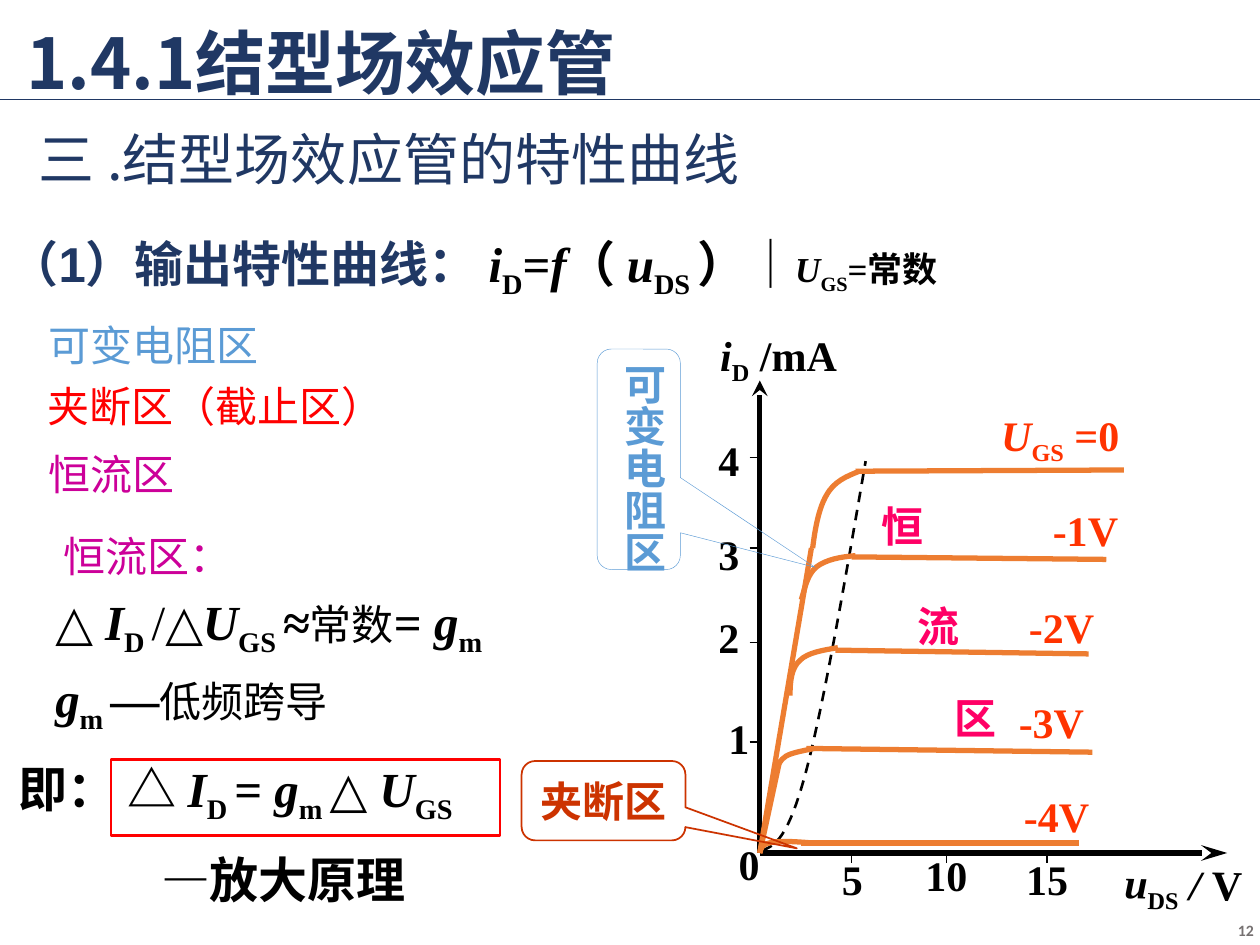
from lxml.etree import SubElement
from pptx import Presentation
from pptx.dml.color import RGBColor
from pptx.enum.dml import MSO_LINE
from pptx.enum.shapes import MSO_CONNECTOR, MSO_SHAPE
from pptx.enum.text import MSO_ANCHOR, PP_ALIGN
from pptx.oxml.ns import qn
from pptx.util import Inches, Pt

NAVY = RGBColor(0x20, 0x38, 0x64)
BLACK = RGBColor(0, 0, 0)
BLUE = RGBColor(0x5B, 0x9B, 0xD5)
ORANGE = RGBColor(0xED, 0x7D, 0x31)
RED = RGBColor(0xFF, 0, 0)
RUST = RGBColor(0xCC, 0x33, 0)
FLAME = RGBColor(0xFF, 0x33, 0)
PINK = RGBColor(0xFF, 0, 0x66)
PURPLE = RGBColor(0xCC, 0, 0x99)
GREY = RGBColor(0x76, 0x71, 0x71)
TIMES = "Times New Roman"
NOTO = "Noto Sans CJK SC"
ZERO = (6.03, 6.77)


def add_run(para, text, flags, size, face, color):
    run = para.add_run()
    run.text = text
    font = run.font
    font.size = Pt(size)
    font.name = face
    font.color.rgb = color
    font.bold = "b" in flags
    font.italic = "i" in flags
    props = run._r.get_or_add_rPr()
    if "s" in flags:
        props.set("baseline", "-25000")
    SubElement(props, qn("a:ea")).set("typeface", NOTO)


def fill_para(para, runs, size, face, color, align):
    para.alignment = align
    for text, flags, *over in runs:
        look = over + [size, face, color][len(over):]
        add_run(para, text, flags, *look)


def add_text(slide, box, lines, size=24, face=TIMES, color=BLACK,
             align=PP_ALIGN.LEFT, anchor=MSO_ANCHOR.TOP, wrap=True, gap=0):
    shape = slide.shapes.add_textbox(*map(Inches, box))
    frame = shape.text_frame
    frame.word_wrap = wrap
    frame.vertical_anchor = anchor
    for num, runs in enumerate(lines):
        para = frame.add_paragraph() if num else frame.paragraphs[0]
        if num:
            para.space_before = Pt(gap)
        fill_para(para, runs, size, face, color, align)
    return shape


def add_label(slide, box, runs, color=BLACK, wrap=False):
    return add_text(slide, box, [runs], color=color, align=PP_ALIGN.CENTER,
                    anchor=MSO_ANCHOR.MIDDLE, wrap=wrap)


def set_indent(para, left, first=0):
    props = para._p.get_or_add_pPr()
    props.set("marL", str(Inches(left)))
    props.set("indent", str(Inches(first)))


def add_line(slide, start, end, color, width, head=None):
    line = slide.shapes.add_connector(
        MSO_CONNECTOR.STRAIGHT, *map(Inches, start + end))
    line.line.color.rgb = color
    line.line.width = Pt(width)
    if head:
        tail = SubElement(line.line._get_or_add_ln(), qn("a:tailEnd"))
        tail.set("type", "stealth")
        tail.set("len", head)
    SubElement(line._element.spPr, qn("a:effectLst"))


def add_curve(slide, pts, color, width, dash=False):
    path = slide.shapes.build_freeform(*map(Inches, pts[0]))
    path.add_line_segments([tuple(map(Inches, pt)) for pt in pts[1:]], close=False)
    curve = path.convert_to_shape()
    steps = list(curve._element.iter(qn("a:lnTo")))
    for num in range(0, len(steps), 3):
        bend = SubElement(steps[num].getparent(), qn("a:cubicBezTo"))
        for step in steps[num:num + 3]:
            bend.append(step[0])
            step.getparent().remove(step)
    style_shape(curve, color, width)
    if dash:
        curve.line.dash_style = MSO_LINE.DASH


def style_shape(shape, color, width):
    shape.shadow.inherit = False
    shape.fill.background()
    shape.line.color.rgb = color
    shape.line.width = Pt(width)


def add_frame(slide, kind, box, color, width, adjust=()):
    shape = slide.shapes.add_shape(kind, *map(Inches, box))
    style_shape(shape, color, width)
    for num, value in enumerate(adjust):
        shape.adjustments[num] = value
    return shape


def add_heads(slide):
    add_line(slide, (0, 0.79), (10, 0.79), NAVY, 1)
    title = add_text(slide, (0.11, -0.02, 8.5, 1.1), [[("1.4.1结型场效应管", "b")]],
                     40, NOTO, NAVY, anchor=MSO_ANCHOR.MIDDLE)
    part = add_text(slide, (0, 0.8, 7.08, 0.83),
                    [[(" ", "", 48, TIMES), ("三 .结型场效应管的特性曲线", "")]],
                    32, NOTO, NAVY, anchor=MSO_ANCHOR.MIDDLE)
    topic = add_text(slide, (-0.02, 1.81, 8.93, 0.78), [[
        ("（1）输出特性曲线： ", "b", 28, "Arial", NAVY), ("i", "bi"), ("D", "bs"),
        ("=", "b"), ("f", "bi"), ("（ ", "b"), ("u", "bi"), ("DS ", "bs"),
        ("）│", "b"), ("U", "bi", 20), ("GS", "bs", 20), ("=常数", "b", 20)]], 28)
    for shape in (title, part, topic):
        shape.text_frame.paragraphs[0].line_spacing = 0.9
    set_indent(part.text_frame.paragraphs[0], 0.37, -0.31)
    set_indent(topic.text_frame.paragraphs[0], 0.38, -0.38)


def add_notes(slide):
    for box, text, color in (
            ((0.29, 2.49, 1.88, 0.5), "可变电阻区", BLUE),
            ((0.28, 2.97, 4.37, 0.5), "夹断区（截止区）", RED),
            ((0.29, 3.51, 6.3, 0.5), "恒流区", PURPLE)):
        add_text(slide, box, [[(text, "")]], face=NOTO, color=color)
    gain = add_text(slide, (0.34, 4.16, 4.89, 1.97), [
        [(" ", "b", 20), ("恒流区：", "", 24, NOTO, PURPLE)],
        [("△ ", "b"), ("I", "bi"), ("D ", "bs"), ("/", ""), ("△", "b"), ("U", "bi"),
         ("GS ", "bs"), ("≈", "b"), ("常数", "", 24, NOTO), ("= ", "b"),
         ("g", "bi"), ("m", "bs")],
        [("g", "bi"), ("m ", "bs"), ("—", "b"), ("低频跨导", "", 24, NOTO)]],
        28, gap=6)
    for para in gain.text_frame.paragraphs:
        set_indent(para, 0.38, -0.38)
    rule = add_text(slide, (0.05, 5.97, 4.65, 1.27), [
        [("即： △ ", "b"), ("I", "bi"), ("D ", "bs"), ("= ", "b"), ("g", "bi"),
         ("m ", "bs"), ("△ ", "b"), ("U", "bi"), ("GS", "bs")],
        [("—放大原理", "b")]], 28, gap=14)
    set_indent(rule.text_frame.paragraphs[1], 1.13)
    add_frame(slide, MSO_SHAPE.RECTANGLE, (0.88, 6.03, 3.09, 0.6), RED, 1.5)


def add_axes(slide):
    add_line(slide, ZERO, (9.74, 6.77), BLACK, 3, "lg")
    add_line(slide, ZERO, (6.03, 3.02), BLACK, 3, "med")
    for y in (3.63, 4.35, 5.1, 5.89):
        add_line(slide, (5.95, y), (6.03, y), BLACK, 1)
    for x in (6.76, 7.51, 8.31):
        add_line(slide, (x, 6.77), (x, 6.85), BLACK, 0.75)
    for text, x, y, wide in (
            ("4", 5.6, 3.39, 0.37), ("3", 5.6, 4.14, 0.37), ("2", 5.6, 4.8, 0.37),
            ("1", 5.68, 5.6, 0.37), ("0", 5.76, 6.6, 0.37), ("5", 6.58, 6.72, 0.37),
            ("10", 7.24, 6.69, 0.54), ("15", 8.04, 6.72, 0.54)):
        add_label(slide, (x, y, wide, 0.51), [(text, "b")])
    volt = add_label(slide, (8.72, 6.78, 1.26, 0.51),
                     [(" u", "bi"), ("DS", "bs"), (" / ", "bi"), ("V", "b")])
    volt.rotation = 1.4
    add_label(slide, (5.53, 2.59, 1.3, 0.5),
              [("i", "bi"), ("D", "bs"), (" /mA", "b")], wrap=True)


def add_plots(slide):
    add_curve(slide, [(6.05, 6.75), (6.15, 6.71), (6.25, 6.66), (6.39, 6.15),
                      (6.53, 5.63), (6.7, 4.65), (6.87, 3.66)], BLACK, 1.5, True)
    for end in ((6.44, 4.35), (6.19, 6.03)):
        add_line(slide, ZERO, end, ORANGE, 3)
    bends = (
        [(6.45, 4.35), (6.47, 4.19), (6.5, 4.03), (6.56, 3.93),
         (6.62, 3.82), (6.72, 3.78), (6.82, 3.74)],
        [(6.36, 4.76), (6.39, 4.66), (6.41, 4.56), (6.48, 4.5),
         (6.56, 4.44), (6.67, 4.42), (6.79, 4.41)],
        [(6.27, 5.52), (6.27, 5.41), (6.28, 5.3), (6.35, 5.24),
         (6.41, 5.18), (6.53, 5.16), (6.65, 5.14)],
        [(6.16, 6.12), (6.17, 6.08), (6.19, 6.03), (6.24, 6),
         (6.29, 5.97), (6.42, 5.95), (6.46, 5.94)],
        [ZERO, (6.04, 6.73), (6.05, 6.7), (6.11, 6.69),
         (6.18, 6.67), (6.31, 6.68), (6.44, 6.69)])
    flats = (((6.79, 3.74), (8.92, 3.73)), ((6.76, 4.42), (8.78, 4.44)),
             ((6.63, 5.16), (8.64, 5.19)), ((6.4, 5.94), (8.67, 5.97)),
             ((6.36, 6.69), (8.56, 6.69)))
    for bend, (start, end) in zip(bends, flats):
        add_curve(slide, bend, ORANGE, 3)
        add_line(slide, start, end, ORANGE, 3)
    add_label(slide, (7.82, 3.22, 1.19, 0.51),
              [("U", "bi"), ("GS", "bs"), (" =0", "b")], FLAME)
    for text, x, y in (("-1V", 8.25, 3.95), ("-2V", 8.06, 4.72),
                       ("-3V", 7.98, 5.47), ("-4V", 8.02, 6.22)):
        add_label(slide, (x, y, 0.73, 0.51), [(text, "b")], FLAME)


def add_zones(slide):
    add_frame(slide, MSO_SHAPE.ROUNDED_RECTANGULAR_CALLOUT, (4.74, 2.77, 0.66, 1.75),
              BLUE, 0.25, (2.12, 0.49, 0.17))
    tall = add_label(slide, (4.81, 2.79, 0.61, 1.76), [("可变电阻区", "b")], BLUE)
    tall.text_frame._txBody.bodyPr.set("vert", "eaVert")
    cut = add_frame(slide, MSO_SHAPE.ROUNDED_RECTANGULAR_CALLOUT,
                    (4.14, 6.04, 1.3, 0.63), RUST, 1, (1.18, 0.6, 0.17))
    cut.text_frame.vertical_anchor = MSO_ANCHOR.MIDDLE
    fill_para(cut.text_frame.paragraphs[0], [("夹断区", "b")], 24, TIMES, RUST,
              PP_ALIGN.CENTER)
    for text, x, y in (("恒", 6.9, 3.92), ("流", 7.18, 4.72), ("区", 7.48, 5.45)):
        add_text(slide, (x, y, 0.54, 0.51), [[(text, "b")]], color=PINK, wrap=False)


def main():
    deck = Presentation()
    deck.slide_width, deck.slide_height = Inches(10), Inches(7.5)
    slide = deck.slides.add_slide(deck.slide_layouts[6])
    add_heads(slide)
    add_notes(slide)
    add_axes(slide)
    add_plots(slide)
    add_zones(slide)
    add_text(slide, (7.8, 7.18, 2.25, 0.4), [[("12", "b")]], 9, "Calibri", GREY,
             PP_ALIGN.RIGHT, MSO_ANCHOR.MIDDLE)
    deck.save("out.pptx")


if __name__ == "__main__":
    main()
